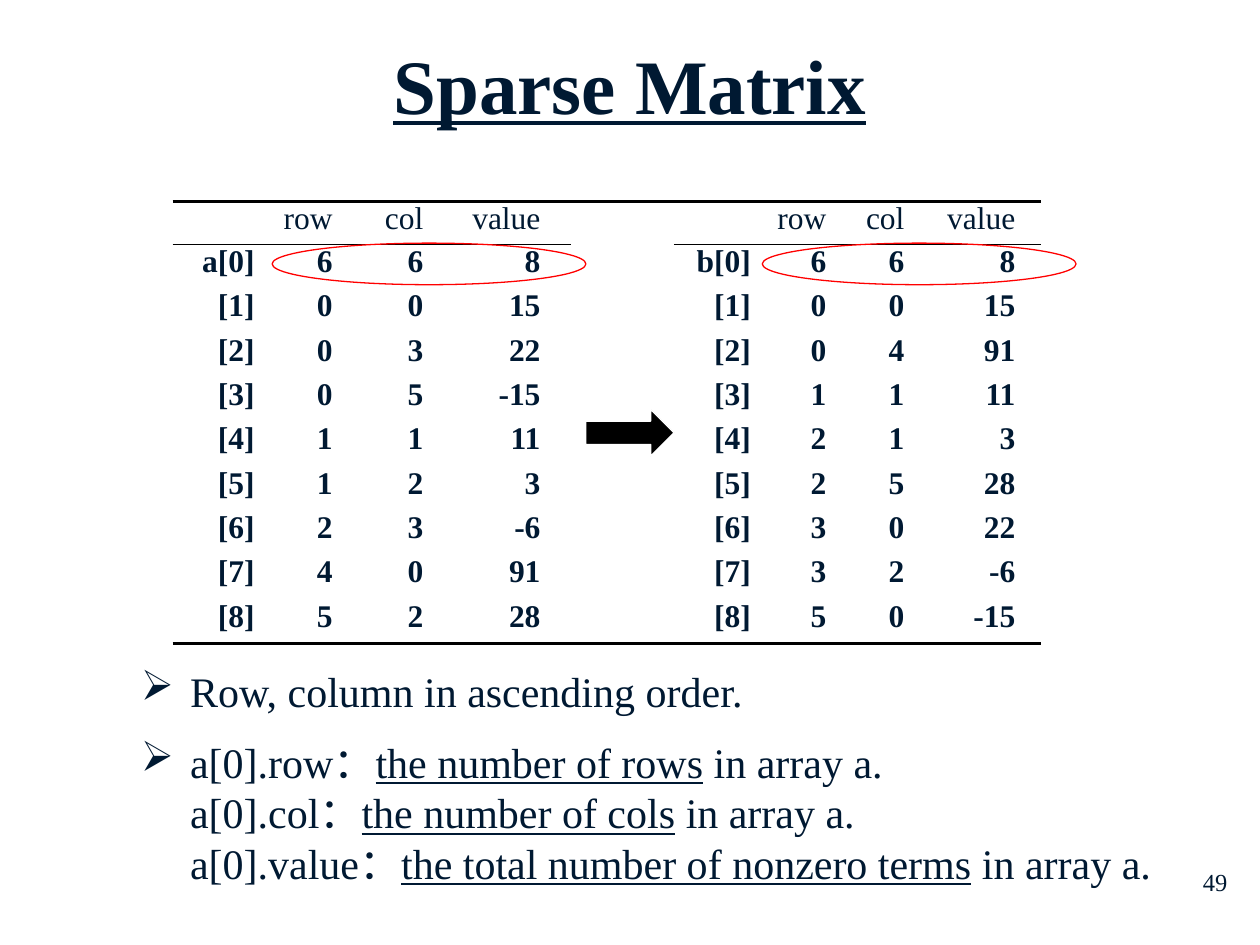
from lxml.etree import SubElement
from pptx import Presentation
from pptx.dml.color import RGBColor
from pptx.enum.shapes import MSO_SHAPE as Shape
from pptx.enum.text import MSO_AUTO_SIZE as AutoSize, PP_ALIGN as Align
from pptx.oxml.ns import qn
from pptx.util import Inches, Pt

NAVY = RGBColor(0x00, 0x19, 0x32)
BLACK = RGBColor(0x00, 0x00, 0x00)
WHITE = RGBColor(0xFF, 0xFF, 0xFF)
RED = RGBColor(0xFF, 0x00, 0x00)

COLUMN_WIDTHS = [0.72, 0.79, 0.72, 0.93, 0.82, 0.7, 0.71, 0.62, 0.88]
RIGHT_MARGINS = [0.07, 0.24, 0.24, 0.24, 0.07, 0.09, 0.2, 0.2, 0.2]
GAP_COLUMN = 4
TABLE_HEIGHT, HEADER_HEIGHT = 3.51, 0.34
HEADINGS = ["row", "col", "value"]
ARRAY_A = [(6, 6, 8), (0, 0, 15), (0, 3, 22), (0, 5, -15), (1, 1, 11),
           (1, 2, 3), (2, 3, -6), (4, 0, 91), (5, 2, 28)]
ARRAY_B = [(6, 6, 8), (0, 0, 15), (0, 4, 91), (1, 1, 11), (2, 1, 3),
           (2, 5, 28), (3, 0, 22), (3, 2, -6), (5, 0, -15)]

# Each paragraph is a list of lines, each line a list of (text, underlined)
NOTES = [
    [[("Row, column in ascending order.", False)]],
    [[(f"a[0].{field}：", False), (meaning, True), (" in array a.", False)]
     for field, meaning in [("row", "the number of rows"),
                            ("col", "the number of cols"),
                            ("value", "the total number of nonzero terms")]],
]


class SlideBuilder:
    def __init__(self, slide):
        self.slide = slide
        self.style = {"name": "Times New Roman", "size": Pt(18)}

    def add_text(self, paragraph, text, **formats):
        run = paragraph.add_run()
        run.text = text
        for name, value in {**self.style, **formats}.items():
            setattr(run.font, name, value)
        run.font.color.rgb = NAVY

    def text_box(self, box, auto_size=AutoSize.NONE):
        frame = self.slide.shapes.add_textbox(*map(Inches, box)).text_frame
        frame.word_wrap = True
        frame.auto_size = auto_size
        return frame

    def label(self, box, text, alignment, **formats):
        paragraph = self.text_box(box).paragraphs[0]
        paragraph.alignment = alignment
        self.add_text(paragraph, text, **formats)

    def bullets(self, box, items, size):
        frame = self.text_box(box, AutoSize.SHAPE_TO_FIT_TEXT)
        for index, lines in enumerate(items):
            paragraph = frame.add_paragraph() if index else frame.paragraphs[0]
            properties = paragraph._p.get_or_add_pPr()
            properties.set("marL", str(Inches(0.39)))
            properties.set("indent", str(Inches(-0.39)))
            SubElement(properties, qn("a:buChar"), char="➢")
            if index:
                paragraph.space_before = Pt(12)
            for number, line in enumerate(lines):
                if number:
                    paragraph.add_line_break()
                for text, underlined in line:
                    self.add_text(paragraph, text, size=size,
                                  underline=underlined)

    def shape(self, kind, box, line_color, fill_color=None):
        shape = self.slide.shapes.add_shape(kind, *map(Inches, box))
        shape.shadow.inherit = False
        shape.line.color.rgb = line_color
        shape.line.width = Pt(0.75)
        if fill_color is None:
            shape.fill.background()
        else:
            shape.fill.solid()
            shape.fill.fore_color.rgb = fill_color

    def borders(self, cell, top, bottom):
        properties = cell._tc.get_or_add_tcPr()
        for side, width in [("L", 0), ("R", 0), ("T", top), ("B", bottom)]:
            line = SubElement(properties, qn(f"a:ln{side}"), w=str(Pt(width)))
            if width:
                fill = SubElement(line, qn("a:solidFill"))
                SubElement(fill, qn("a:srgbClr"), val=str(BLACK))
            else:
                SubElement(line, qn("a:noFill"))

    def table(self, left, top, rows):
        box = (left, top, sum(COLUMN_WIDTHS), TABLE_HEIGHT)
        table = self.slide.shapes.add_table(
            len(rows), len(COLUMN_WIDTHS), *map(Inches, box)).table
        table.first_row = table.horz_banding = False
        for column, width in zip(table.columns, COLUMN_WIDTHS):
            column.width = Inches(width)
        last = len(rows) - 1
        body_height = (TABLE_HEIGHT - HEADER_HEIGHT) / last
        for r, values in enumerate(rows):
            table.rows[r].height = Inches(body_height if r else HEADER_HEIGHT)
            for c, value in enumerate(values):
                cell = table.cell(r, c)
                rule = 0 if c == GAP_COLUMN else 1
                self.borders(cell, {0: 1.5, 1: rule}.get(r, 0),
                             {0: rule, last: 1.5}.get(r, 0))
                cell.fill.background()
                cell.margin_top = cell.margin_bottom = 0
                cell.margin_left = Inches(0.07)
                cell.margin_right = Inches(RIGHT_MARGINS[c])
                paragraph = cell.text_frame.paragraphs[0]
                paragraph.alignment = Align.RIGHT
                if value != "":
                    self.add_text(paragraph, str(value), bold=r > 0)


def main():
    presentation = Presentation()
    presentation.slide_width = Inches(10)
    presentation.slide_height = Inches(7.5)
    builder = SlideBuilder(
        presentation.slides.add_slide(presentation.slide_layouts[6]))

    # Page number, notes and title
    builder.label((7.76, 6.83, 2.08, 0.5), "49", Align.RIGHT, size=Pt(14))
    builder.bullets((1.02, 5.23, 8.28, 1.92), NOTES, Pt(24))
    builder.label((0.97, 0.25, 8.06, 0.83), "Sparse Matrix", Align.CENTER,
                  size=Pt(44), bold=True, underline=True)

    # Arrow from array a to array b
    builder.shape(Shape.RIGHT_ARROW, (4.65, 3.25, 0.7, 0.37), WHITE, BLACK)

    # Both arrays side by side
    rows = [["", *HEADINGS, "", "", *HEADINGS]]
    for index, (a, b) in enumerate(zip(ARRAY_A, ARRAY_B)):
        names = [f"{'' if index else array}[{index}]" for array in "ab"]
        rows.append([names[0], *a, "", names[1], *b])
    builder.table(1.37, 1.6, rows)

    # Rings around the first entries
    for left in (2.16, 6.05):
        builder.shape(Shape.OVAL, (left, 1.93, 2.49, 0.33), RED)

    presentation.save("out.pptx")


if __name__ == "__main__":
    main()
